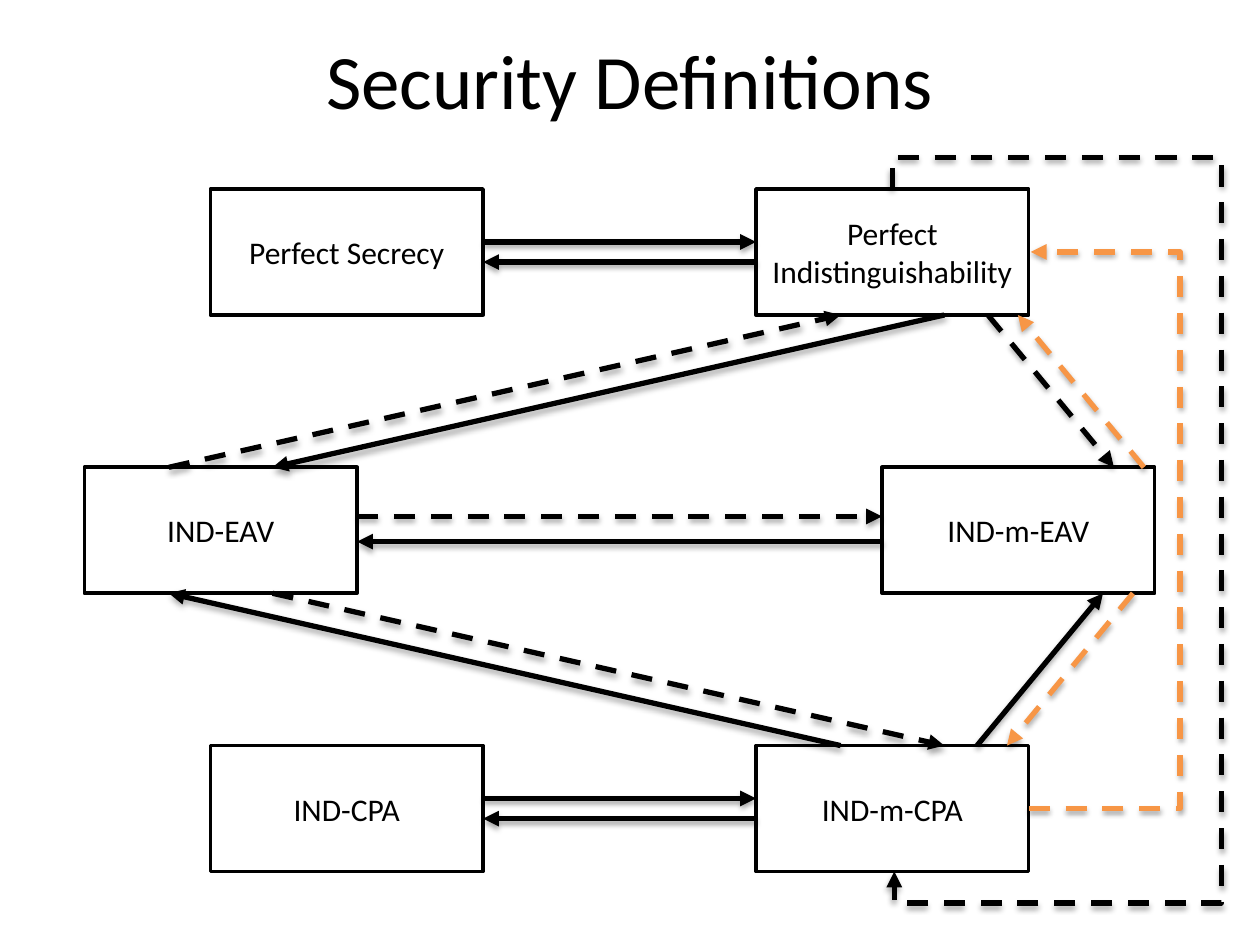
import lxml.etree
import pptx
import pptx.dml.color
import pptx.enum.dml
import pptx.enum.shapes
import pptx.enum.text
import pptx.oxml
import pptx.oxml.ns
import pptx.util

Cm = pptx.util.Cm
Pt = pptx.util.Pt
qn = pptx.oxml.ns.qn
CONNECTOR = pptx.enum.shapes.MSO_CONNECTOR

BLACK = pptx.dml.color.RGBColor(0x00, 0x00, 0x00)
WHITE = pptx.dml.color.RGBColor(0xFF, 0xFF, 0xFF)
ORANGE = pptx.dml.color.RGBColor(0xF7, 0x96, 0x46)

BOX_WIDTH, BOX_HEIGHT = 5.5, 2.54
ROW_STEP = 5.61
NARROW_STEP = 0.04
SHADOW = (
    '<a:effectLst xmlns:a="http://schemas.openxmlformats.org/drawingml/2006/main">'
    '<a:outerShdw blurRad="40000" dist="23000" dir="5400000" rotWithShape="0">'
    '<a:srgbClr val="000000"><a:alpha val="35000"/></a:srgbClr>'
    '</a:outerShdw></a:effectLst>'
)

DEFINITIONS = {
    "secrecy": ("Perfect Secrecy", 3.18, 0),
    "perfect": ("Perfect Indistinguishability", 14.18, 0),
    "eav": ("IND-EAV", 0.64, 1),
    "m_eav": ("IND-m-EAV", 16.72, 1),
    "cpa": ("IND-CPA", 3.18, 2),
    "m_cpa": ("IND-m-CPA", 14.18, 2),
}

IMPLICATIONS = [
    ("secrecy", (1, 0.42), "perfect", (0, 0.42), BLACK, False),
    ("perfect", (0, 0.58), "secrecy", (1, 0.58), BLACK, False),
    ("perfect", (0.69, 0), "eav", (0.69, 0), BLACK, False),
    ("m_eav", (0, 0.59), "eav", (1, 0.59), BLACK, False),
    ("m_cpa", (0.81, 0), "m_eav", (0.81, 1), BLACK, False),
    ("eav", (0.31, 0), "perfect", (0.31, 1), BLACK, True),
    ("eav", (1, 0.39), "m_eav", (0, 0.39), BLACK, True),
    ("perfect", (0.85, 1), "m_eav", (0.85, 0), BLACK, True),
    ("m_eav", (0.96, 0), "perfect", (0.96, 1), ORANGE, True),
    ("m_eav", (0.92, 1), "m_cpa", (0.92, 0), ORANGE, True),
    ("m_cpa", (0.31, 0), "eav", (0.31, 1), BLACK, False),
    ("eav", (0.69, 1), "m_cpa", (0.69, 0), BLACK, True),
    ("cpa", (1, 0.42), "m_cpa", (0, 0.42), BLACK, False),
    ("m_cpa", (0, 0.58), "cpa", (1, 0.58), BLACK, False),
]
IMPLICATIONS[2] = ("perfect", (0.69, 1), "eav", (0.69, 0), BLACK, False)


def format_text(shape, text, size):
    """Write centred text in a shape."""
    text_frame = shape.text_frame
    text_frame.word_wrap = True
    text_frame.vertical_anchor = pptx.enum.text.MSO_ANCHOR.MIDDLE
    text_frame.text = text
    paragraph = text_frame.paragraphs[0]
    paragraph.alignment = pptx.enum.text.PP_ALIGN.CENTER
    font = paragraph.runs[0].font
    font.name = "Calibri"
    font.size = Pt(size)
    font.color.rgb = BLACK


def add_title(slide, left, top, width, height):
    """Add the slide title in the given box."""
    title = slide.shapes.add_textbox(Cm(left), Cm(top), Cm(width), Cm(height))
    format_text(title, "Security Definitions", 44)


def add_definition(slide, text, left, top):
    """Add one outlined definition box."""
    shape = slide.shapes.add_shape(
        pptx.enum.shapes.MSO_SHAPE.RECTANGLE,
        Cm(left), Cm(top), Cm(BOX_WIDTH), Cm(BOX_HEIGHT),
    )
    shape.shadow.inherit = False
    shape.fill.solid()
    shape.fill.fore_color.rgb = WHITE
    shape.line.color.rgb = BLACK
    shape.line.width = Pt(2)
    format_text(shape, text, 18)


def add_arrow(slide, kind, start, end, color, dashed):
    """Add an arrow with a soft shadow between two points."""
    lengths = [Cm(value) for value in (*start, *end)]
    arrow = slide.shapes.add_connector(kind, *lengths)
    arrow.line.color.rgb = color
    arrow.line.width = Pt(3)
    if dashed:
        arrow.line.dash_style = pptx.enum.dml.MSO_LINE.DASH
    properties = arrow._element.spPr
    tail = lxml.etree.SubElement(properties.find(qn("a:ln")), qn("a:tailEnd"))
    tail.set("type", "triangle")
    properties.append(pptx.oxml.parse_xml(SHADOW))
    return arrow


def set_bends(arrow, preset, ratios):
    """Set the preset and bend positions of an elbow arrow."""
    geometry = arrow._element.spPr.find(qn("a:prstGeom"))
    geometry.set("prst", preset)
    values = geometry.find(qn("a:avLst"))
    if values is None:
        values = lxml.etree.SubElement(geometry, qn("a:avLst"))
    for number, ratio in enumerate(ratios, 1):
        guide = lxml.etree.SubElement(values, qn("a:gd"))
        guide.set("name", f"adj{number}")
        guide.set("fmla", f"val {round(ratio * 100000)}")


def add_side_route(slide, start, end_y, reach):
    """Add the orange route that leaves and returns on the right side."""
    end = (start[0] + NARROW_STEP, end_y)
    arrow = add_arrow(slide, CONNECTOR.ELBOW, start, end, ORANGE, True)
    set_bends(arrow, "bentConnector3", [reach / NARROW_STEP])


def add_outer_route(slide, start, end_y, reach, overhang):
    """Add the black route around the outside, from top to bottom."""
    length = end_y - start[1]
    left = start[0] + NARROW_STEP / 2 - length / 2
    top = start[1] + length / 2 - NARROW_STEP / 2
    arrow = add_arrow(
        slide, CONNECTOR.ELBOW, (left + length, top), (left, top + NARROW_STEP), BLACK, True
    )
    arrow._element.spPr.find(qn("a:xfrm")).set("rot", "16200000")
    ratio = overhang / length
    set_bends(arrow, "bentConnector5", [-ratio, reach / NARROW_STEP, 1 + ratio])


def add_diagram(slide, left, top):
    """Add the definitions and the implications between them."""
    corners = {}
    for name, (text, offset, row) in DEFINITIONS.items():
        corners[name] = (left + offset, top + row * ROW_STEP)
        add_definition(slide, text, *corners[name])

    def anchor(name, position):
        """Find a point at the given fractions of a definition box."""
        x, y = corners[name]
        return x + position[0] * BOX_WIDTH, y + position[1] * BOX_HEIGHT

    for source, leaving, target, arriving, color, dashed in IMPLICATIONS:
        start, end = anchor(source, leaving), anchor(target, arriving)
        add_arrow(slide, CONNECTOR.STRAIGHT, start, end, color, dashed)
    add_side_route(slide, anchor("m_cpa", (1, 0.5)), anchor("perfect", (1, 0.5))[1], 3.05)
    add_outer_route(
        slide, anchor("perfect", (0.5, 0)), anchor("m_cpa", (0.5, 1))[1], 6.63, 0.63
    )


def main():
    """Build and save the presentation."""
    presentation = pptx.Presentation()
    presentation.slide_width = Cm(25.4)
    presentation.slide_height = Cm(19.05)
    slide = presentation.slides.add_slide(presentation.slide_layouts[6])
    add_title(slide, 0, 0, 25.4, 3.18)
    add_diagram(slide, 1.06, 3.81)
    presentation.save("out.pptx")


if __name__ == "__main__":
    main()
